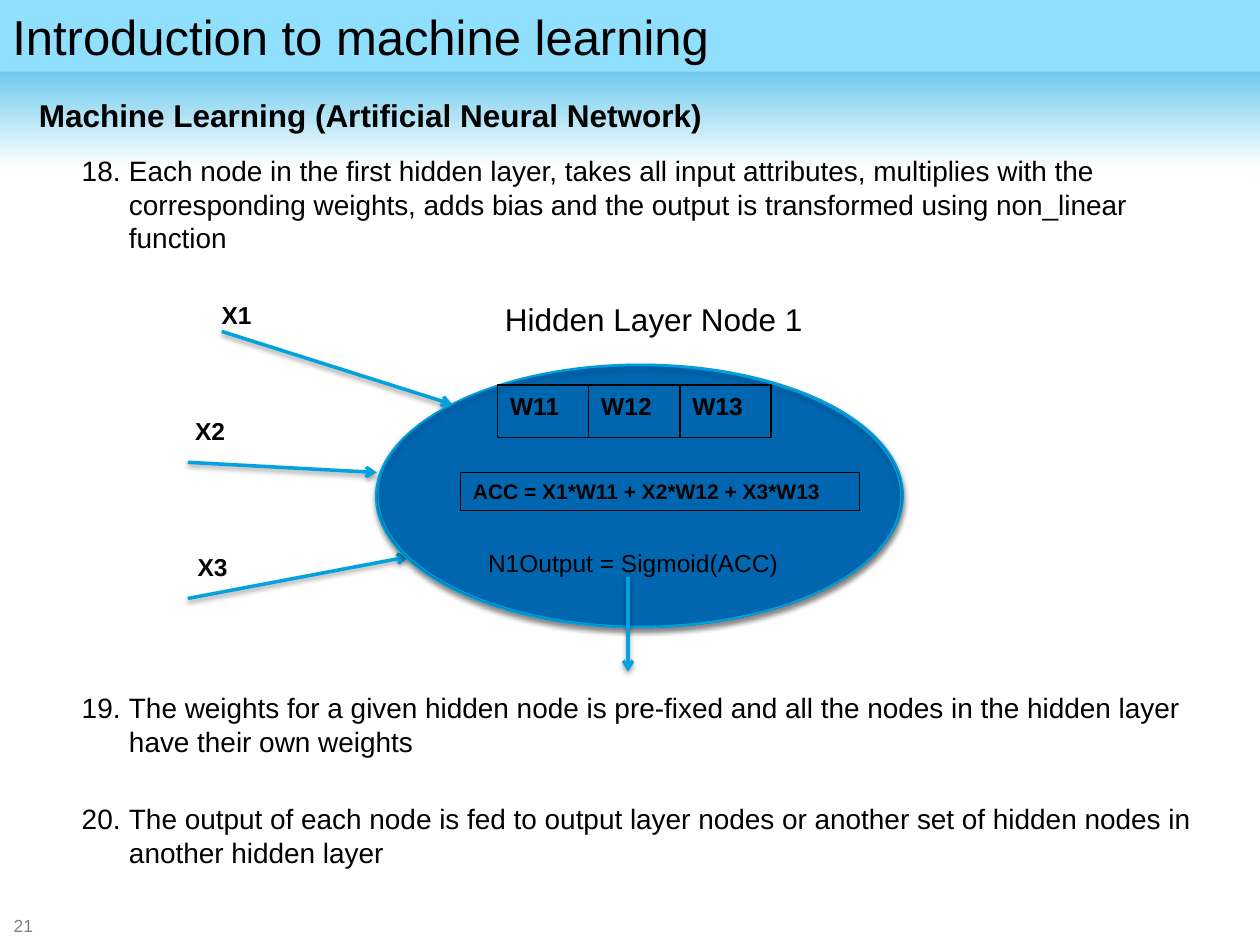
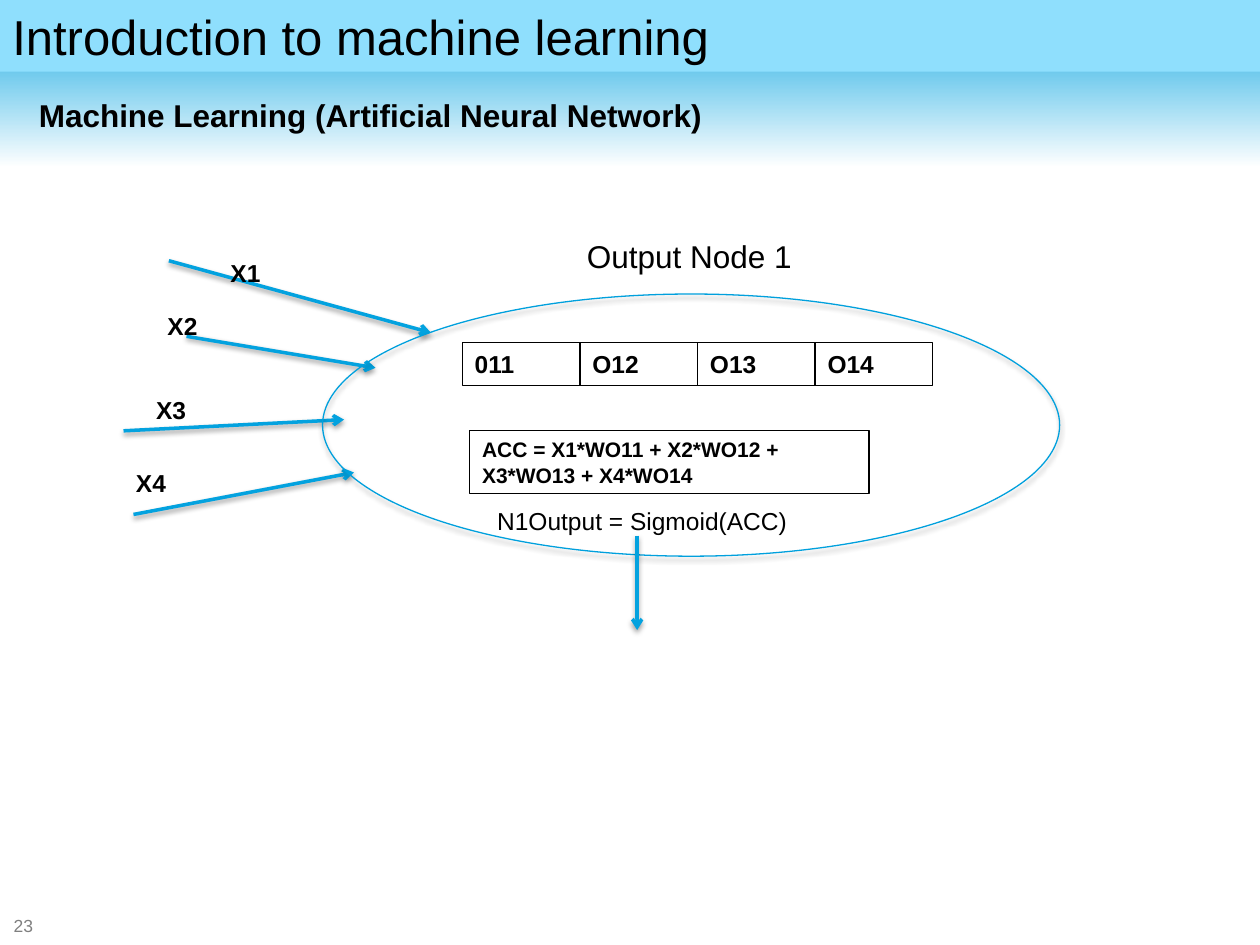
from dataclasses import dataclass

from lxml import etree
from pptx import Presentation
from pptx import util as u
from pptx.dml.color import RGBColor
from pptx.enum import shapes, text
from pptx.oxml.ns import qn

# Shared look
FONT = "Arial"
BLACK, GREY, WHITE = "000000", "808080", "FFFFFF"
TITLE_BLUE, ARROW_BLUE, RIM_BLUE, NODE_BLUE = "8FDFFD", "03A2DF", "00A0DD", "0070C0"
SLIDE_W, SLIDE_H = 720, 540
LABEL_H = 24.5
TITLE = "Introduction to machine learning"
TOPIC = "Machine Learning (Artificial Neural Network)"


@dataclass(frozen=True)
class Box:
    left: float
    top: float
    width: float
    height: float

    def points(self) -> tuple:
        return tuple(u.Pt(v) for v in (self.left, self.top, self.width, self.height))


@dataclass(frozen=True)
class Style:
    size: float
    bold: bool = False
    color: str = BLACK


@dataclass(frozen=True)
class Arrow:
    x1: float
    y1: float
    x2: float
    y2: float


@dataclass(frozen=True)
class Input:
    name: str
    left: float
    top: float
    arrow: Arrow


@dataclass(frozen=True)
class Ellipse:
    box: Box
    fill: str | None = None
    opacity: int = 100


@dataclass(frozen=True)
class Step:
    """A numbered statement and the gap above it."""
    words: str
    gap: float


@dataclass(frozen=True)
class Neuron:
    heading: str
    heading_box: Box
    ellipses: list[Ellipse]
    inputs: list[Input]
    weights: list[str]
    first_weight: Box
    formula: str
    formula_box: Box
    output_top: float


LABEL = Style(14, bold=True)
HEADING = Style(18)


def rgb(value: str) -> RGBColor:
    return RGBColor.from_string(value)


def write(shape, words: str, style: Style, anchor=text.MSO_ANCHOR.TOP) -> None:
    frame = shape.text_frame
    frame.word_wrap = True
    frame.vertical_anchor = anchor
    frame.text = words
    frame.paragraphs[0].alignment = text.PP_ALIGN.LEFT
    style_runs(frame.paragraphs[0], style)


def style_runs(paragraph, style: Style) -> None:
    for run in paragraph.runs:
        run.font.name = FONT
        run.font.size = u.Pt(style.size)
        run.font.bold = style.bold
        run.font.color.rgb = rgb(style.color)


def add_label(slide, box: Box, words: str, style: Style, anchor=text.MSO_ANCHOR.TOP) -> None:
    write(slide.shapes.add_textbox(*box.points()), words, style, anchor)


def add_plain(slide, kind, box: Box, fill: str | None = None, line: str | None = None):
    shape = slide.shapes.add_shape(kind, *box.points())
    shape.shadow.inherit = False
    if fill:
        shape.fill.solid()
        shape.fill.fore_color.rgb = rgb(fill)
    else:
        shape.fill.background()
    if line:
        shape.line.color.rgb = rgb(line)
        shape.line.width = u.Pt(0.75)
    else:
        shape.line.fill.background()
    return shape


def add_frame(slide, box: Box, words: str, style: Style) -> None:
    write(add_plain(slide, shapes.MSO_SHAPE.RECTANGLE, box, line=BLACK), words, style)


def cast_shadow(shape, distance: float, opacity: int) -> None:
    properties = shape._element.spPr
    effects = properties.find(qn("a:effectLst"))
    if effects is None:
        effects = etree.SubElement(properties, qn("a:effectLst"))
    outer = etree.SubElement(effects, qn("a:outerShdw"), blurRad=str(u.Pt(3.1)),
                             dist=str(u.Pt(distance)), dir="5400000", rotWithShape="0")
    tint = etree.SubElement(outer, qn("a:srgbClr"), val=BLACK)
    etree.SubElement(tint, qn("a:alpha"), val=str(opacity * 1000))


def add_arrow(slide, arrow: Arrow) -> None:
    ends = [u.Pt(v) for v in (arrow.x1, arrow.y1, arrow.x2, arrow.y2)]
    connector = slide.shapes.add_connector(shapes.MSO_CONNECTOR.STRAIGHT, *ends)
    connector.line.color.rgb = rgb(ARROW_BLUE)
    connector.line.width = u.Pt(2)
    etree.SubElement(connector.line._get_or_add_ln(), qn("a:tailEnd"), type="arrow")
    cast_shadow(connector, 1.6, 38)


def add_ellipse(slide, ellipse: Ellipse) -> None:
    shape = add_plain(slide, shapes.MSO_SHAPE.OVAL, ellipse.box, ellipse.fill, RIM_BLUE)
    if ellipse.opacity < 100:
        tint = shape._element.spPr.find(qn("a:solidFill")).find(qn("a:srgbClr"))
        etree.SubElement(tint, qn("a:alpha"), val=str(ellipse.opacity * 1000))
    cast_shadow(shape, 1.8, 35)


def add_base(deck, number: int):
    """Blank slide with the fading band, page number, title and topic."""
    slide = deck.slides.add_slide(deck.slide_layouts[6])
    band = add_plain(slide, shapes.MSO_SHAPE.RECTANGLE, Box(0, 0, SLIDE_W, 95.8))
    band.fill.gradient()
    band.fill.gradient_angle = 270
    for stop, color in zip(band.fill.gradient_stops, (ARROW_BLUE, WHITE)):
        stop.color.rgb = rgb(color)
    add_label(slide, Box(0.7, 523.4, 28.1, 11.5), str(number), Style(10, color=GREY),
              text.MSO_ANCHOR.MIDDLE)
    title = add_plain(slide, shapes.MSO_SHAPE.RECTANGLE, Box(0, 0, SLIDE_W, 41), TITLE_BLUE)
    write(title, TITLE, Style(28))
    add_label(slide, Box(15.1, 51.1, 663, 32.4), TOPIC, Style(18, bold=True))
    return slide


def add_steps(slide, box: Box, steps: list[Step], start: int) -> None:
    frame = slide.shapes.add_textbox(*box.points()).text_frame
    frame.word_wrap = True
    for i, step in enumerate(steps):
        paragraph = frame.add_paragraph() if i else frame.paragraphs[0]
        paragraph.text = step.words
        paragraph.space_before = u.Pt(step.gap)
        properties = paragraph._p.get_or_add_pPr()
        properties.set("marL", str(u.Pt(27)))
        properties.set("indent", str(u.Pt(-27)))
        etree.SubElement(properties, qn("a:buFont"), typeface="+mj-lt")
        etree.SubElement(properties, qn("a:buAutoNum"), type="arabicPeriod", startAt=str(start))
        style_runs(paragraph, Style(16))


def add_neuron(slide, neuron: Neuron) -> None:
    # Inputs
    for source in neuron.inputs:
        add_arrow(slide, source.arrow)
    for ellipse in neuron.ellipses:
        add_ellipse(slide, ellipse)
    for source in neuron.inputs:
        add_label(slide, Box(source.left, source.top, 41.8, LABEL_H), source.name, LABEL)
    # Weights, weighted sum and output
    first = neuron.first_weight
    for i, weight in enumerate(neuron.weights):
        cell = Box(first.left + i * first.width, first.top, first.width, first.height)
        add_frame(slide, cell, weight, LABEL)
    add_frame(slide, neuron.formula_box, neuron.formula, Style(12, bold=True))
    output = Box(neuron.formula_box.left + 8.6, neuron.output_top, 192.2, LABEL_H)
    add_label(slide, output, "N1Output = Sigmoid(ACC)", Style(14))
    exit_x, exit_y = output.left + 87.1, output.top + 20.2
    add_arrow(slide, Arrow(exit_x, exit_y, exit_x, exit_y + 54))
    add_label(slide, neuron.heading_box, neuron.heading, HEADING)


STEPS = [
    Step("Each node in the first hidden layer, takes all input attributes, multiplies with the "
         "corresponding weights, adds bias and the output is transformed using non_linear "
         "function", 0),
    Step("The weights for a given hidden node is pre-fixed and all the nodes in the hidden layer "
         "have their own weights", 249.5),
    Step("The output of each node is fed to output layer nodes or another set of hidden nodes in "
         "another hidden layer", 25),
]

HIDDEN_NODE = Neuron(
    heading="Hidden Layer Node 1",
    heading_box=Box(281.5, 167.8, 203.8, 28.8),
    ellipses=[
        Ellipse(Box(215.3, 208.8, 300.2, 149.8), NODE_BLUE),
        Ellipse(Box(216, 208.1, 300.2, 149.8), NODE_BLUE, 50),
        Ellipse(Box(214.6, 208.8, 300.2, 149.8)),
    ],
    inputs=[
        Input("X1", 119.5, 167.8, Arrow(126.7, 189.4, 258.5, 231.1)),
        Input("X2", 104.4, 234, Arrow(107.3, 264.2, 215.3, 270)),
        Input("X3", 105.8, 311.8, Arrow(107.3, 342, 233.3, 318.2)),
    ],
    weights=["W11", "W12", "W13"],
    first_weight=Box(284.4, 220, 52.1, 30),
    formula="ACC = X1*W11 + X2*W12 + X3*W13",
    formula_box=Box(263.2, 270, 228.2, 21.8),
    output_top=309.6,
)

OUTPUT_NODE = Neuron(
    heading="Output Node 1",
    heading_box=Box(328.3, 131.8, 149.8, 30.2),
    ellipses=[Ellipse(Box(184.3, 168, 421.2, 149.8))],
    inputs=[
        Input("X1", 124.6, 144, Arrow(96.5, 149, 246.2, 190.1)),
        Input("X2", 88.6, 174.2, Arrow(106.6, 192.2, 214.6, 210.2)),
        Input("X3", 82.1, 222, Arrow(70.6, 246.2, 196.6, 239.8)),
        Input("X4", 70.6, 264.2, Arrow(76.3, 294, 202.3, 270)),
    ],
    weights=["011", "O12", "O13", "O14"],
    first_weight=Box(264.2, 195.8, 67.2, LABEL_H),
    formula="ACC = X1*WO11 + X2*WO12 + X3*WO13 + X4*WO14",
    formula_box=Box(268.4, 246.2, 228.2, 36),
    output_top=285.8,
)


def main() -> None:
    deck = Presentation()
    deck.slide_width, deck.slide_height = u.Pt(SLIDE_W), u.Pt(SLIDE_H)

    hidden = add_base(deck, 21)
    add_steps(hidden, Box(39.6, 84.2, 663, 430), STEPS, start=18)
    add_neuron(hidden, HIDDEN_NODE)

    add_neuron(add_base(deck, 23), OUTPUT_NODE)
    deck.save("out.pptx")


if __name__ == "__main__":
    main()
